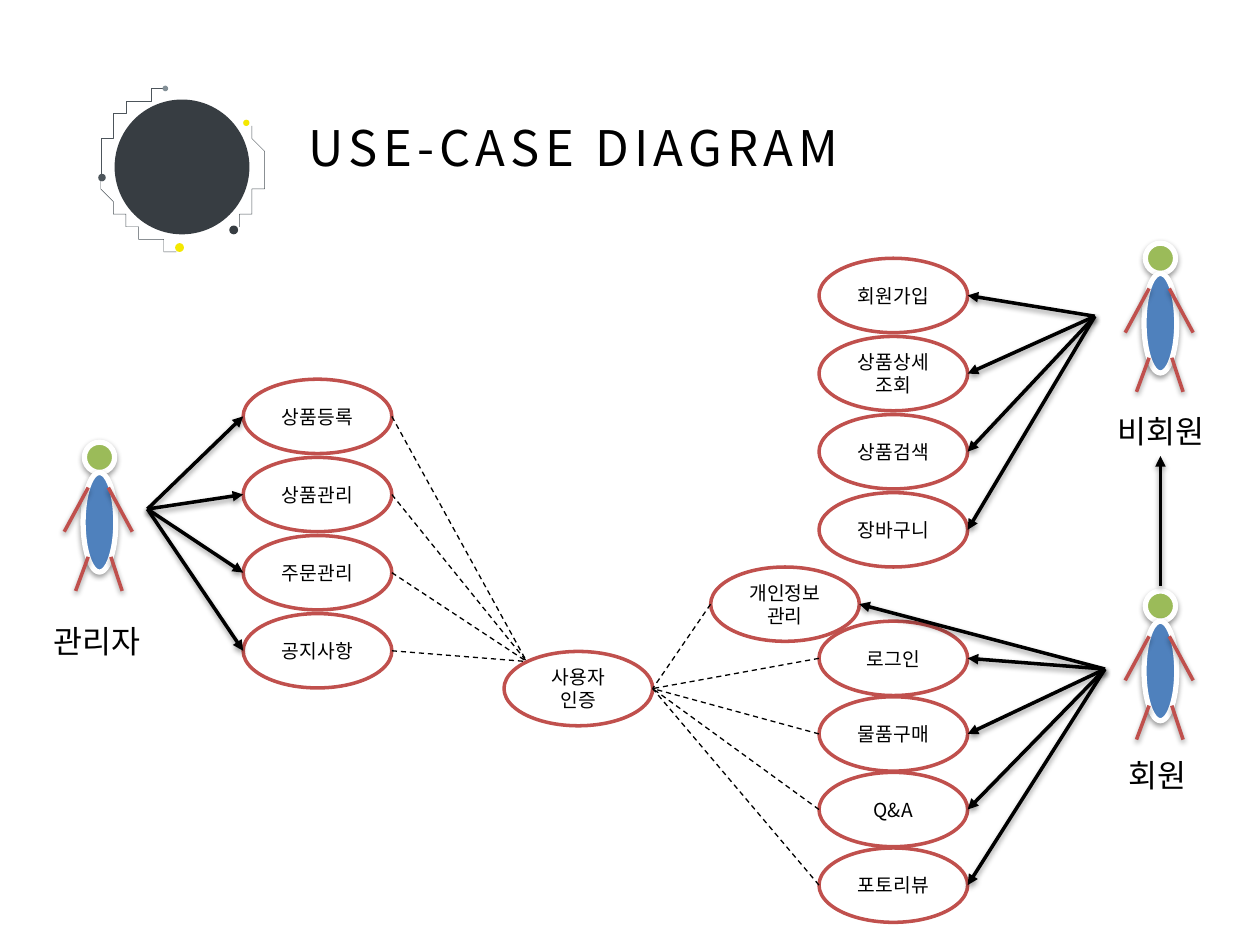
from dataclasses import dataclass
from typing import Optional

from lxml import etree
from pptx import Presentation
from pptx import util as u
from pptx.dml.color import RGBColor
from pptx.enum import dml, shapes, text
from pptx.oxml import parse_xml
from pptx.oxml.ns import nsdecls, qn

CELL = u.Inches(0.1)
COLUMNS, ROWS = 100, 75
FONT = "Noto Sans CJK KR"
BLACK, WHITE, RED, GREEN, BLUE = "000000", "FFFFFF", "C0504D", "9BBB59", "4F81BD"
CHARCOAL, SLATE, GREY, YELLOW = "373D42", "4D555B", "839097", "F4E800"
CASE_W, CASE_H = 11.8, 5.9
Point = tuple[float, float]


@dataclass
class UseCase:
    name: str
    col: float
    row: float

    @property
    def west(self) -> Point:
        return self.col, self.row + CASE_H / 2

    @property
    def east(self) -> Point:
        return self.col + CASE_W, self.row + CASE_H / 2


@dataclass
class Actor:
    name: str
    col: float
    row: float
    label: Point
    hub: Point


@dataclass
class Dot:
    col: float
    row: float
    size: float
    color: str


def cells(*values: float) -> list[int]:
    return [round(value * CELL) for value in values]


def rgb(color: str) -> RGBColor:
    return RGBColor.from_string(color)


def set_effect(shape, shadowed: bool) -> None:
    properties = shape._element.spPr
    for old in properties.findall(qn("a:effectLst")):
        properties.remove(old)
    shadow = ('<a:outerShdw blurRad="40000" dist="20000" dir="5400000" rotWithShape="0">'
              '<a:srgbClr val="000000"><a:alpha val="38000"/></a:srgbClr></a:outerShdw>')
    properties.append(parse_xml(
        f'<a:effectLst {nsdecls("a")}>{shadow if shadowed else ""}</a:effectLst>'))


def write(frame, wording: str, size: float, align=text.PP_ALIGN.LEFT,
          anchor=text.MSO_ANCHOR.TOP, spacing: int = 0) -> None:
    frame.text = wording
    layout = {"word_wrap": True, "auto_size": text.MSO_AUTO_SIZE.NONE, "vertical_anchor": anchor}
    for key, value in layout.items():
        setattr(frame, key, value)
    for paragraph in frame.paragraphs:
        paragraph.alignment = align
        for run in paragraph.runs:
            for key, value in {"name": FONT, "size": u.Pt(size), "bold": False}.items():
                setattr(run.font, key, value)
            run.font.color.rgb = rgb(BLACK)
            properties = run._r.get_or_add_rPr()
            etree.SubElement(properties, qn("a:ea")).set("typeface", FONT)
            if spacing:
                properties.set("spc", str(spacing))


def draw_oval(slide, box: tuple, fill: str, line: Optional[str] = None,
              width: float = 0, shadowed: bool = False):
    oval = slide.shapes.add_shape(shapes.MSO_SHAPE.OVAL, *cells(*box))
    oval.fill.solid()
    oval.fill.fore_color.rgb = rgb(fill)
    if line:
        oval.line.color.rgb = rgb(line)
        oval.line.width = u.Pt(width)
    else:
        oval.line.fill.background()
    set_effect(oval, shadowed)
    return oval


def draw_line(slide, start: Point, end: Point, color: str = BLACK, width: float = 2,
              arrow: bool = False, dashed: bool = False) -> None:
    line = slide.shapes.add_connector(shapes.MSO_CONNECTOR.STRAIGHT, *cells(*start, *end))
    line.line.color.rgb = rgb(color)
    line.line.width = u.Pt(width)
    if dashed:
        line.line.dash_style = dml.MSO_LINE.DASH
    if arrow:
        etree.SubElement(line.line._get_or_add_ln(), qn("a:tailEnd")).set("type", "triangle")
    set_effect(line, not dashed)


def draw_orbit(slide, controls: list[Point], steps: int = 30) -> None:
    def at(t: float) -> Point:
        weights = (1 - t) ** 3, 3 * t * (1 - t) ** 2, 3 * t * t * (1 - t), t ** 3
        return tuple(sum(w * p[axis] for w, p in zip(weights, controls)) for axis in (0, 1))

    curve = [at(step / steps) for step in range(steps + 1)]
    builder = slide.shapes.build_freeform(*curve[0], scale=CELL)
    builder.add_line_segments(curve[1:], close=False)
    orbit = builder.convert_to_shape()
    orbit.fill.background()
    orbit.line.color.rgb = rgb(SLATE)
    orbit.line.width = u.Pt(0.25)
    set_effect(orbit, False)


def draw_actor(slide, actor: Actor) -> None:
    def part(col: float, row: float) -> Point:
        return actor.col + col, actor.row + row

    draw_oval(slide, (*part(0, 0), 2.4, 2.4), GREEN, WHITE, 3, True)
    draw_oval(slide, (*part(-0.1, 2.4), 2.6, 7.9), BLUE, WHITE, 3, True)
    limbs = [((0.3, 3.6), (-1.6, 7.1)), ((1.9, 3.6), (3.8, 7.1)),
             ((0.3, 9.1), (-0.7, 11.8)), ((2.1, 9.1), (3, 11.8))]
    for joint, tip in limbs:
        draw_line(slide, part(*joint), part(*tip), RED)
    label = slide.shapes.add_textbox(*cells(*actor.label, 10.7, 4))
    write(label.text_frame, actor.name, 18)


def draw_case(slide, case: UseCase) -> None:
    oval = draw_oval(slide, (case.col, case.row, CASE_W, CASE_H), WHITE, RED, 2)
    write(oval.text_frame, case.name, 11, text.PP_ALIGN.CENTER, text.MSO_ANCHOR.MIDDLE)


def stack(names: str, col: float, row: float, pitch: float) -> list[UseCase]:
    return [UseCase(name, col, row + i * pitch) for i, name in enumerate(names.split())]


ORBITS = [
    [(19.5, 9.5), (20.7, 10.7), (21.9, 15.1), (18.6, 18.2)],
    [(13.2, 7), (11.5, 7), (7.7, 9.6), (8.1, 14.1)],
    [(14.2, 19.7), (13, 19.5), (8.9, 18.7), (8.1, 14.2)],
]
DOTS = [Dot(9.1, 7.9, 10.7, CHARCOAL), Dot(12.9, 6.8, 0.45, GREY), Dot(19.3, 9.5, 0.5, YELLOW),
        Dot(7.8, 13.8, 0.6, SLATE), Dot(18.2, 17.9, 0.7, CHARCOAL), Dot(13.9, 19.3, 0.7, YELLOW)]
ADMIN = Actor("관리자", 6.7, 35.1, (3.3, 48.9), (11.7, 40.4))
GUEST = Actor("비회원", 90.9, 19.3, (87.7, 32.2), (86.9, 25.1))
MEMBER = Actor("회원", 90.9, 46.9, (88.6, 59.5), (87.7, 53.1))
ADMIN_CASES = stack("상품등록 상품관리 주문관리 공지사항", 19.3, 30.1, 6.2)
GUEST_CASES = stack("회원가입 상품상세조회 상품검색 장바구니", 65, 20.5, 6.2)
MEMBER_CASES = stack("로그인 물품구매 Q&A 포토리뷰", 65, 49.3, 6)
MEMBER_CASES.append(UseCase("개인정보\n관리", 56.4, 45))
LOGIN_CHECK = UseCase("사용자\n인증", 40, 51.7)
LOGIN_CHECK_CORNER = (41.8, 52.5)


def main() -> None:
    deck = Presentation()
    deck.slide_width, deck.slide_height = cells(COLUMNS, ROWS)
    slide = deck.slides.add_slide(deck.slide_layouts[5])

    title = slide.shapes.title
    for key, value in zip(("left", "top", "width", "height"), cells(23.5, 8.8, 55.7, 5.7)):
        setattr(title, key, value)
    write(title.text_frame, "USE-CASE DIAGRAM", 28, anchor=text.MSO_ANCHOR.MIDDLE, spacing=300)

    for orbit in ORBITS:
        draw_orbit(slide, orbit)
    for dot in DOTS:
        draw_oval(slide, (dot.col, dot.row, dot.size, dot.size), dot.color)
    for actor in (ADMIN, GUEST, MEMBER):
        draw_actor(slide, actor)
    for case in [*ADMIN_CASES, *GUEST_CASES, *MEMBER_CASES, LOGIN_CHECK]:
        draw_case(slide, case)

    draw_line(slide, (92.1, 46.5), (92.1, 36.2), arrow=True)
    for case in ADMIN_CASES:
        draw_line(slide, ADMIN.hub, case.west, arrow=True)
        draw_line(slide, case.east, LOGIN_CHECK_CORNER, width=0.75, dashed=True)
    for case in GUEST_CASES:
        draw_line(slide, GUEST.hub, case.east, arrow=True)
    for case in MEMBER_CASES:
        draw_line(slide, MEMBER.hub, case.east, arrow=True)
        draw_line(slide, case.west, LOGIN_CHECK.east, width=0.75, dashed=True)

    deck.save("out.pptx")


if __name__ == "__main__":
    main()
